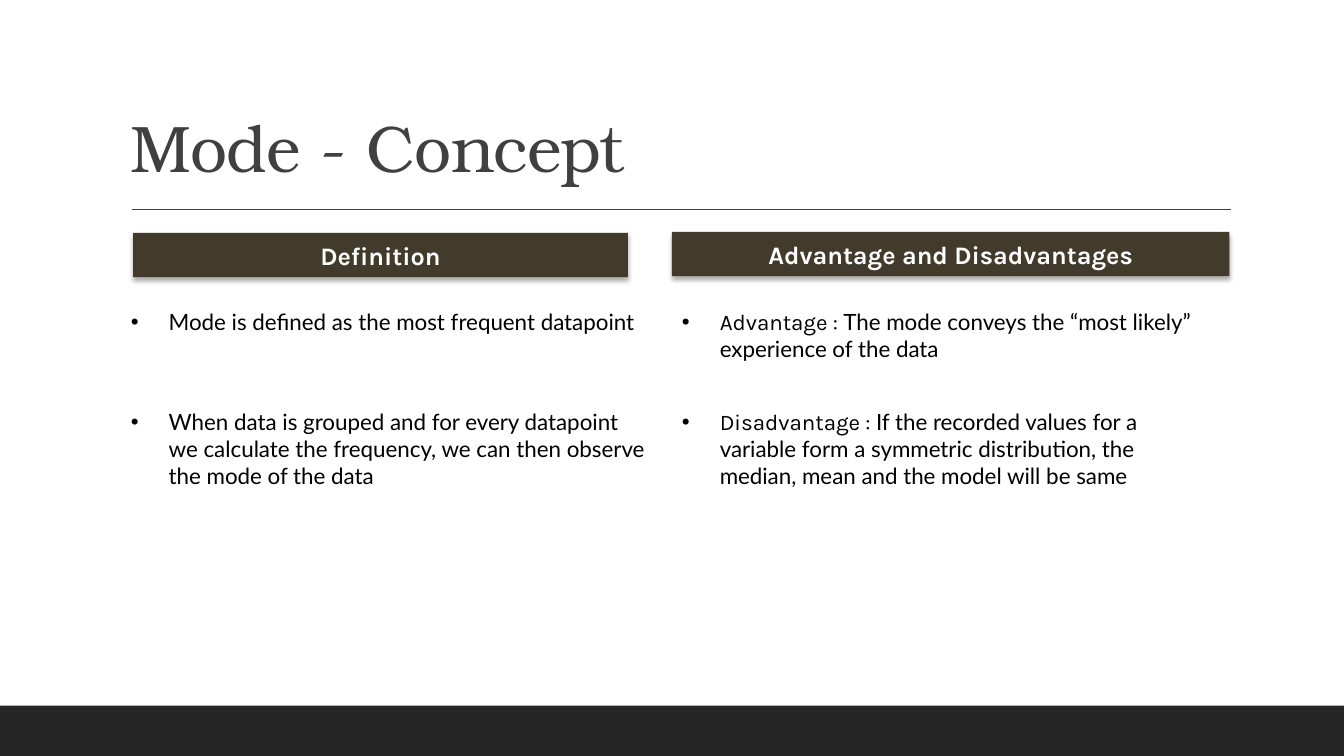
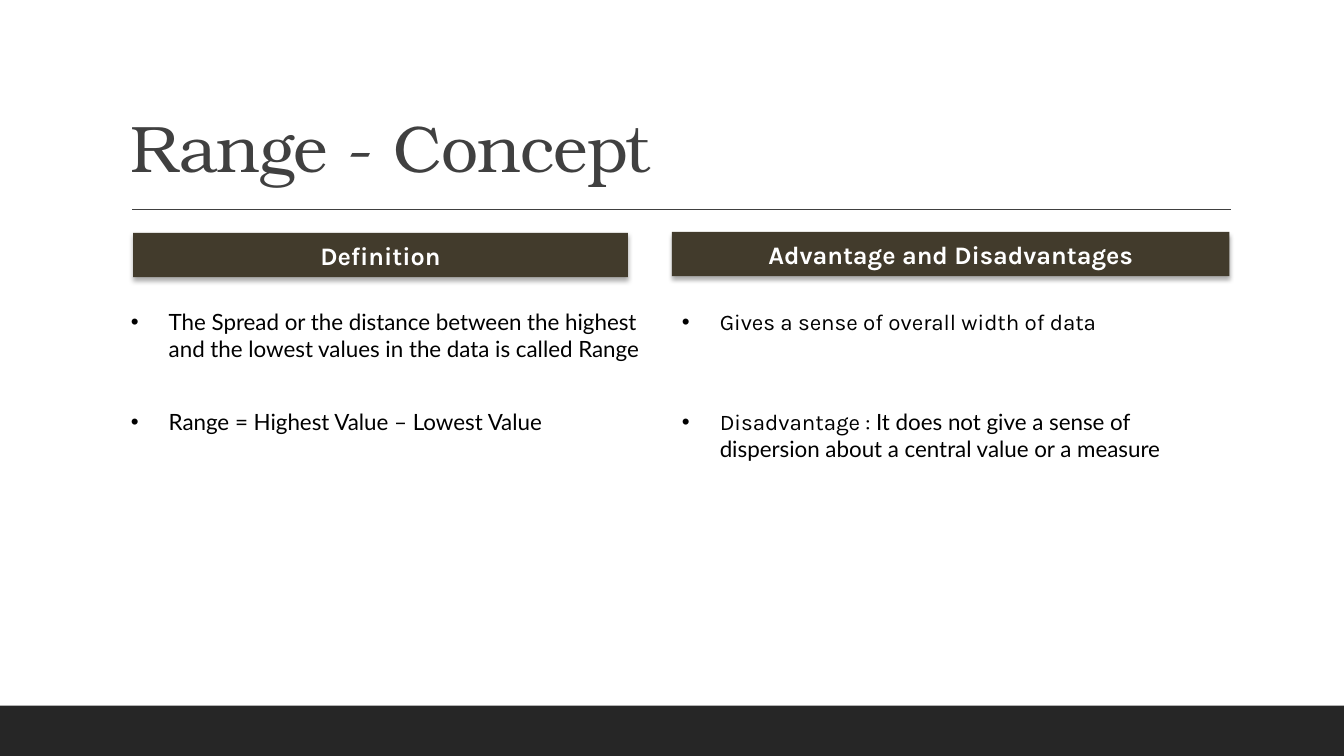
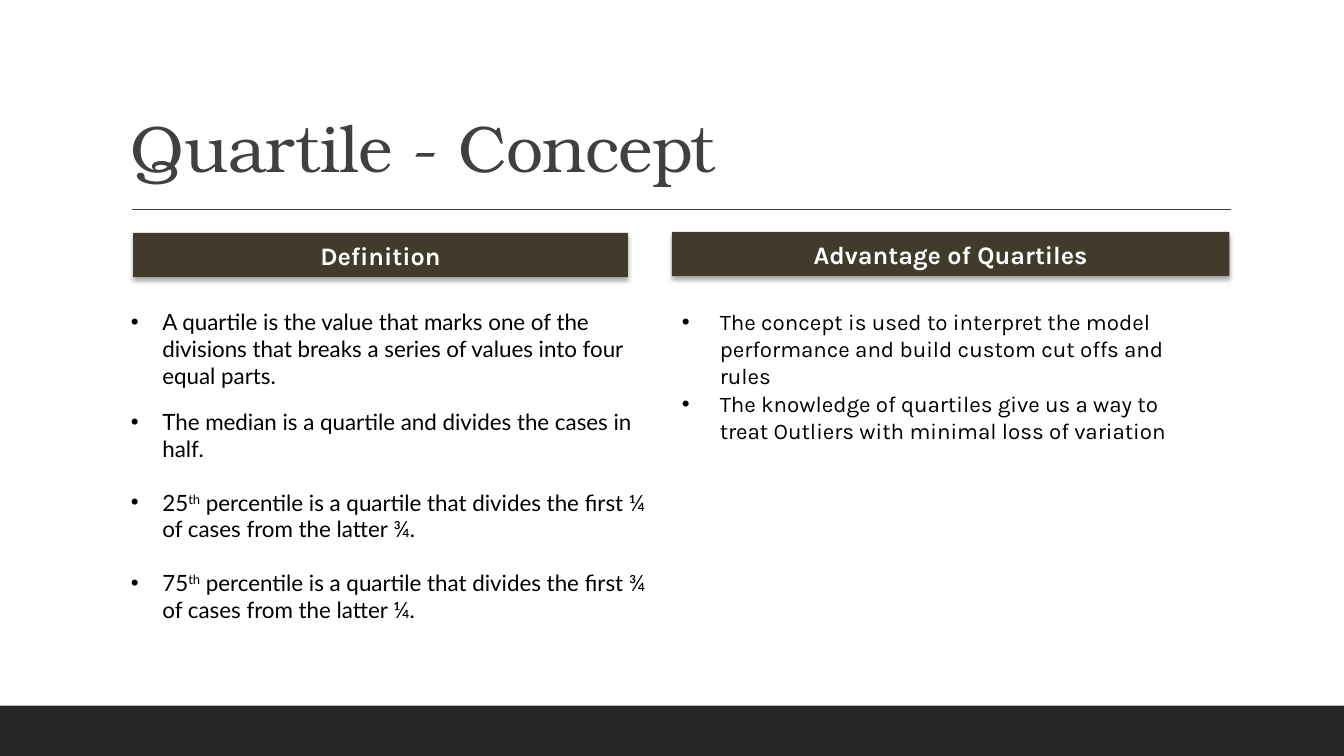
"""Build three concept slides on mode, range and quartile."""
import dataclasses
import typing

import lxml.etree
import pptx
import pptx.dml.color
import pptx.enum.shapes
import pptx.enum.text
import pptx.oxml.ns
import pptx.slide
import pptx.text.text
import pptx.util

WIDE, HIGH = 13.33, 7.5
DARK, GREY, BROWN, WHITE, BLACK = "262626", "404040", "423B2C", "FFFFFF", "000000"
SERIF, SANS, BODY = "TeX Gyre Bonum", "Karla", "Lato"
LEFT, MID = 9.0, 50.0
TOP, NEXT = 40.13, 53.33
SPAN = 39.9
LINE, PAD = 3.56, 1.33
FULL, TIGHT = 27.0, 22.5
GAP = 19.2


class Run(typing.NamedTuple):
    text: str
    font: str = BODY
    base: int = 0


Para = tuple[Run, ...]


@dataclasses.dataclass(frozen=True)
class Head:
    left: float
    top: float
    width: float


@dataclasses.dataclass(frozen=True)
class Note:
    left: float
    top: float
    lines: int
    paras: tuple[Para, ...]
    dent: float = FULL


@dataclasses.dataclass(frozen=True)
class Page:
    title: str
    heads: tuple[str, str]
    notes: tuple[Note, ...]


HEADS = (Head(9.9, 30.8, 36.83), Head(MID, 30.67, 41.48))
BOTH = ("Definition", "Advantage and Disadvantages")


def one(text: str, font: str = BODY) -> tuple[Para, ...]:
    return ((Run(text, font),),)


def pair(label: str, text: str) -> tuple[Para, ...]:
    return ((Run(label + " : ", SANS), Run(text)),)


def part(rank: str, first: str, rest: str) -> Para:
    tail = f" percentile is a quartile that divides the first {first} of cases from the latter {rest}."
    return Run(rank), Run("th", base=30), Run(tail)


PAGES = (
    Page("Mode - Concept", BOTH, (
        Note(LEFT, TOP, 1, one("Mode is defined as the most frequent datapoint")),
        Note(LEFT, NEXT, 3, one("When data is grouped and for every datapoint we calculate the frequency, "
                                "we can then observe the mode of the data")),
        Note(MID, TOP, 3, pair("Advantage", "The mode conveys the “most likely” experience of the data")),
        Note(MID, NEXT, 3, pair("Disadvantage", "If the recorded values for a variable form a symmetric "
                                "distribution, the median, mean and the model will be same")),
    )),
    Page("Range - Concept", BOTH, (
        Note(LEFT, TOP, 2, one("The Spread or the distance between the highest and the lowest values "
                               "in the data is called Range")),
        Note(LEFT, NEXT, 1, one("Range = Highest Value – Lowest Value")),
        Note(MID, TOP, 2, one("Gives a sense of overall width of data", SANS)),
        Note(MID, NEXT, 2, pair("Disadvantage", "It does not give a sense of dispersion about a central "
                                "value or a measure")),
    )),
    Page("Quartile - Concept", ("Definition", "Advantage of Quartiles"), (
        Note(LEFT, TOP, 3, one("A quartile is the value that marks one of the divisions that breaks "
                               "a series of values into four equal parts."), TIGHT),
        Note(LEFT, NEXT, 9, one("The median is a quartile and divides the cases in half.")
             + (part("25", "¼", "¾"), part("75", "¾", "¼")), TIGHT),
        Note(MID, TOP, 3, one("The concept is used to interpret the model performance and build "
                              "custom cut offs and rules", SANS)),
        Note(MID, 50.93, 2, one("The knowledge of quartiles give us a way to treat Outliers with "
                                "minimal loss of variation", SANS)),
    )),
)


def hue(code: str) -> pptx.dml.color.RGBColor:
    return pptx.dml.color.RGBColor.from_string(code)


def across(share: float) -> int:
    return pptx.util.Inches(WIDE * share / 100)


def down(share: float) -> int:
    return pptx.util.Inches(HIGH * share / 100)


def area(left: float, top: float, width: float, height: float) -> tuple[int, int, int, int]:
    return across(left), down(top), across(width), down(height)


def add(root: typing.Any, tag: str, **attrs: str) -> typing.Any:
    return lxml.etree.SubElement(root, pptx.oxml.ns.qn(tag), attrs)


def write(frame: pptx.text.text.TextFrame, paras: tuple[Para, ...], *, size: float,
          color: str = BLACK, bold: bool = False, center: bool = False, dent: float = 0,
          gap: float = 0, lead: float = 1, track: int = 0,
          anchor: typing.Any = pptx.enum.text.MSO_ANCHOR.TOP) -> None:
    frame.word_wrap = True
    frame.vertical_anchor = anchor
    for index, runs in enumerate(paras):
        para = frame.add_paragraph() if index else frame.paragraphs[0]
        para.line_spacing = lead
        para.space_before = pptx.util.Pt(gap if index else 0)
        if center:
            para.alignment = pptx.enum.text.PP_ALIGN.CENTER
        if dent:
            props = para._p.get_or_add_pPr()
            props.set("marL", str(pptx.util.Pt(dent)))
            props.set("indent", str(-pptx.util.Pt(dent)))
            add(props, "a:buFont", typeface="Arial")
            add(props, "a:buChar", char="•")
        for item in runs:
            run = para.add_run()
            run.text = item.text
            run.font.name = item.font
            run.font.size = pptx.util.Pt(size)
            run.font.bold = bold
            run.font.color.rgb = hue(color)
            if item.base:
                run._r.get_or_add_rPr().set("baseline", str(item.base * 1000))
            if track:
                run._r.get_or_add_rPr().set("spc", str(track))


def block(slide: pptx.slide.Slide, box: tuple[int, int, int, int], fill: str) -> typing.Any:
    shape = slide.shapes.add_shape(pptx.enum.shapes.MSO_SHAPE.RECTANGLE, *box)
    shape.shadow.inherit = False
    shape.fill.solid()
    shape.fill.fore_color.rgb = hue(fill)
    shape.line.fill.background()
    return shape


def frame(slide: pptx.slide.Slide, title: str) -> None:
    block(slide, area(0, 93.33, 100, 6.67), DARK)
    rule = slide.shapes.add_connector(pptx.enum.shapes.MSO_CONNECTOR.STRAIGHT,
                                      across(9.83), down(27.73), across(91.57), down(27.73))
    rule.line.color.rgb = hue(GREY)
    rule.line.width = pptx.util.Pt(1)
    add(rule._element.spPr, "a:effectLst")
    box = slide.shapes.add_textbox(*area(LEFT, 4.13, 82.5, 21.2))
    write(box.text_frame, one(title, SERIF), size=47, color=GREY, lead=0.9, track=-50,
          anchor=pptx.enum.text.MSO_ANCHOR.BOTTOM)


def banner(slide: pptx.slide.Slide, head: Head, text: str) -> None:
    shape = block(slide, area(head.left, head.top, head.width, 5.87), BROWN)
    effect = shape._element.spPr.find(pptx.oxml.ns.qn("a:effectLst"))
    shade = add(effect, "a:outerShdw", blurRad=str(pptx.util.Pt(3.5)),
                dist=str(pptx.util.Pt(2.2)), dir="5400000", algn="ctr", rotWithShape="0")
    add(add(shade, "a:srgbClr", val=BLACK), "a:alpha", val="32000")
    write(shape.text_frame, one(text, SANS), size=18, color=WHITE, bold=True, center=True,
          anchor=pptx.enum.text.MSO_ANCHOR.MIDDLE)


def bullet(slide: pptx.slide.Slide, note: Note) -> None:
    box = slide.shapes.add_textbox(*area(note.left, note.top, SPAN, PAD + LINE * note.lines))
    write(box.text_frame, note.paras, size=16, dent=note.dent, gap=GAP)
    box.text_frame.auto_size = pptx.enum.text.MSO_AUTO_SIZE.SHAPE_TO_FIT_TEXT


def main() -> None:
    deck = pptx.Presentation()
    deck.slide_width, deck.slide_height = across(100), down(100)
    for page in PAGES:
        slide = deck.slides.add_slide(deck.slide_layouts[6])
        frame(slide, page.title)
        for head, text in zip(HEADS, page.heads):
            banner(slide, head, text)
        for note in page.notes:
            bullet(slide, note)
    deck.save("out.pptx")


if __name__ == "__main__":
    main()
